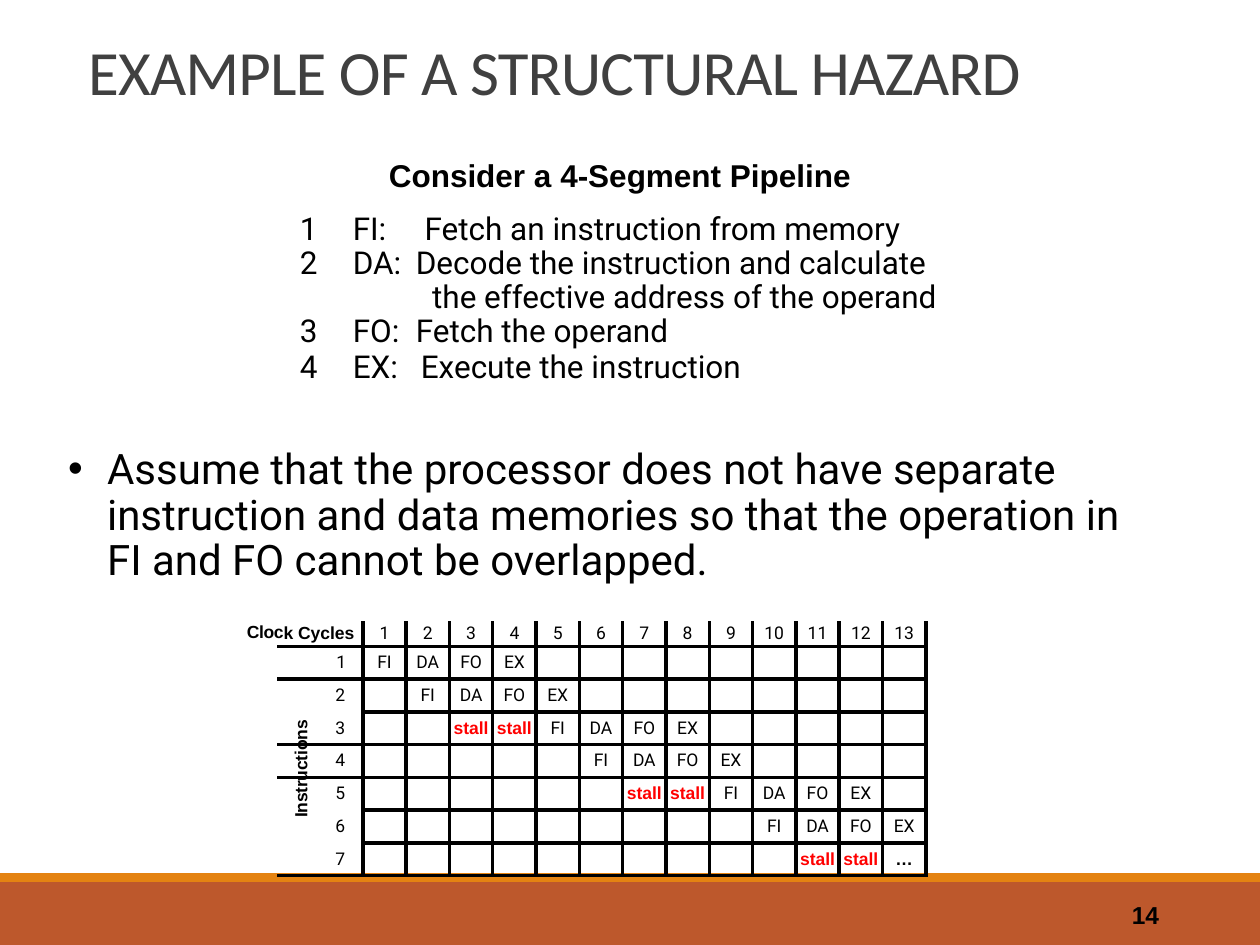
from lxml import etree
from pptx import Presentation, util as u
from pptx.dml.color import RGBColor
from pptx.enum import shapes, text
from pptx.oxml.ns import qn

ALIGN, ANCHOR = text.PP_ALIGN, text.MSO_ANCHOR
BLACK, RED = "000000", "FF0000"


def color(hexa):
    return RGBColor.from_string(hexa)


def style(name, size, bold=False, hue=BLACK):
    return {"name": name, "size": u.Pt(size), "bold": bold, "hue": hue}


HEAD = style("Arial", 18, True)
LIST = style("Roboto", 18)
BODY = style("Roboto", 24)
MARK = style("Arial", 10, True)
CELL = style("Roboto", 10)
STALL = style("Arial", 10, True, RED)


def sub(node, tag, **attrs):
    return etree.SubElement(node, qn("a:" + tag), {k: str(v) for k, v in attrs.items()})


class Deck:
    def __init__(self):
        self.prs = Presentation()
        self.prs.slide_width, self.prs.slide_height = u.Inches(10), u.Inches(7.5)
        self.slide = self.prs.slides.add_slide(self.prs.slide_layouts[5])

    def label(self, para, words, form, track=0, **rules):
        for key, val in rules.items():
            setattr(para, key, val)
        run = para.add_run()
        run.text = words
        for key, val in form.items():
            if key == "hue":
                run.font.color.rgb = color(val)
            else:
                setattr(run.font, key, val)
        if track:
            run._r.get_or_add_rPr().set("spc", str(track))

    def indent(self, para, left, first=0, right=0, number=0, dot="", tabs=()):
        props = para._p.get_or_add_pPr()
        for key, val in {"marL": left, "indent": first, "marR": right}.items():
            props.set(key, str(u.Inches(val)))
        if number:
            sub(props, "buAutoNum", type="arabicPlain", startAt=number)
        elif dot:
            sub(props, "buFont", typeface="Arial")
            sub(props, "buChar", char=dot)
        if tabs:
            stops = sub(props, "tabLst")
            for pos in tabs:
                sub(stops, "tab", pos=u.Inches(pos), algn="l")

    def frame(self, shape, place, top=0, anchor=ANCHOR.TOP):
        for key, val in zip(("left", "top", "width", "height"), place):
            setattr(shape, key, u.Inches(val))
        tf = shape.text_frame
        form = {"margin_left": 0, "margin_right": 0, "margin_bottom": 0,
                "margin_top": u.Inches(top), "word_wrap": True,
                "auto_size": text.MSO_AUTO_SIZE.NONE, "vertical_anchor": anchor}
        for key, val in form.items():
            setattr(tf, key, val)
        return tf

    def title(self, words, place, form):
        tf = self.frame(self.slide.shapes.title, place, 0.01, ANCHOR.BOTTOM)
        self.indent(tf.paragraphs[0], 0.24)
        self.label(tf.paragraphs[0], words, form, -50, alignment=ALIGN.LEFT)

    def box(self, place, **opts):
        return self.frame(self.slide.shapes.add_textbox(0, 0, 0, 0), place, **opts)

    def band(self, top, height, hue):
        bar = self.slide.shapes.add_shape(
            shapes.MSO_SHAPE.RECTANGLE, 0, u.Inches(top), u.Inches(10), u.Inches(height))
        bar.shadow.inherit = False
        bar.fill.solid()
        bar.fill.fore_color.rgb = color(hue)
        bar.line.fill.background()

    def grid(self, left, top, widths, heights):
        table = self.slide.shapes.add_table(
            len(heights), len(widths), u.Inches(left), u.Inches(top),
            u.Inches(sum(widths)), u.Inches(sum(heights))).table
        table.first_row = table.horz_banding = False
        for col, width in zip(table.columns, widths):
            col.width = u.Inches(width)
        for row, height in zip(table.rows, heights):
            row.height = u.Inches(height)
        return table

    def clear(self, cell, sides):
        """Empty the cell's fill and margins and rule the sides that are on."""
        for side in ("left", "right", "top", "bottom"):
            setattr(cell, "margin_" + side, 0)
        cell.vertical_anchor = ANCHOR.MIDDLE
        cell.fill.background()
        cell.text_frame.paragraphs[0]._p.get_or_add_endParaRPr().set("sz", "1000")
        props = cell._tc.get_or_add_tcPr()
        for i, (side, shown) in enumerate(sides.items()):
            line = etree.Element(qn("a:ln" + side), w=str(u.Pt(2.25)))
            if shown:
                sub(sub(line, "solidFill"), "srgbClr", val=BLACK)
            else:
                sub(line, "noFill")
            props.insert(i, line)


def main():
    deck = Deck()

    # Footer bands and page number
    deck.band(7, 0.5, "BD582C")
    deck.band(6.93, 0.07, "E48312")
    page = deck.box((8.12, 7.06, 1.08, 0.4), anchor=ANCHOR.MIDDLE)
    deck.label(page.paragraphs[0], "14", style("Arial", 14, True), alignment=ALIGN.RIGHT)

    deck.title("EXAMPLE OF A STRUCTURAL HAZARD", (0.46, 0.24, 8.25, 0.62),
               style("Calibri", 36, hue="404040"))

    # Pipeline segments and assumption
    body = deck.box((0.52, 1.09, 8.68, 3.59), top=0.15)
    deck.indent(body.paragraphs[0], 0.12)
    deck.label(body.paragraphs[0], "Consider a 4-Segment Pipeline", HEAD,
               alignment=ALIGN.CENTER)
    item = {"left": 2.28, "first": -0.42}
    lines = [
        ("FI:\tFetch an instruction from memory", LIST, 20.5, 9.8,
         item | {"number": 1, "tabs": (2.28, 2.85)}),
        ("DA:\tDecode the instruction and calculate", LIST, 19.4, 0,
         item | {"number": 1, "tabs": (2.28, 2.78)}),
        ("the effective address of the operand", LIST, 19.4, 0, {"left": 2.91}),
        ("FO:\tFetch the operand", LIST, 19.4, 0,
         item | {"number": 3, "tabs": (2.28, 2.78)}),
        ("EX:\tExecute the instruction", LIST, 20.5, 0,
         item | {"number": 3, "tabs": (2.28, 2.82)}),
        ("Assume that the processor does not have separate instruction and data "
         "memories so that the operation in FI and FO cannot be overlapped.",
         BODY, 25.9, 36, {"left": 0.33, "first": -0.31, "right": 0.25, "dot": "•"}),
    ]
    for words, form, pitch, before, shift in lines:
        para = body.add_paragraph()
        deck.indent(para, **shift)
        deck.label(para, words, form, line_spacing=u.Pt(pitch), space_before=u.Pt(before))

    # Axis labels
    clock = deck.box((1.95, 4.92, 0.33, 0.19), top=0.01)
    deck.indent(clock.paragraphs[0], 0.01)
    deck.label(clock.paragraphs[0], "Cloc", MARK, -20)
    axis = deck.box((2.3, 5.67, 0.18, 0.82))
    axis._txBody.bodyPr.set("vert", "vert270")
    deck.label(axis.paragraphs[0], "Instructions", MARK, -10)

    # Timing table: first cycle and steps of each instruction
    cycles = 13
    plan = [(1, "FI DA FO EX"), (2, "FI DA FO EX"), (3, "stall stall FI DA FO EX"),
            (6, "FI DA FO EX"), (7, "stall stall FI DA FO EX"), (10, "FI DA FO EX"),
            (11, "stall stall …")]
    table = deck.grid(2.2, 4.93, [0.47, 0.21] + [4.47 / cycles] * cycles,
                      [0.2] + [0.26] * len(plan))
    ruled = {1, 2, 4, 5, 8}  # row edges drawn under the instruction numbers
    for r in range(len(plan) + 1):
        for c in range(cycles + 2):
            deck.clear(table.cell(r, c), {
                "L": c > 1, "R": c > 0 or r != 1,
                "T": r in ruled or (c > 1 and r > 0),
                "B": r + 1 in ruled or c > 1})
    for first, last in ((0, 0), (2, 3), (4, 4), (5, 5), (6, 6), (7, 7)):
        table.cell(first, 0).merge(table.cell(last, 1))

    corner = table.cell(0, 0).text_frame.paragraphs[0]
    deck.indent(corner, 0.05)
    deck.label(corner, "k Cycles", MARK)
    for n in range(1, cycles + 1):
        deck.label(table.cell(0, n + 1).text_frame.paragraphs[0], str(n), CELL,
                   alignment=ALIGN.CENTER)
    for r, (start, steps) in enumerate(plan, 1):
        if r == 3:  # shares the merged cell of instruction 2
            para = table.cell(2, 0).text_frame.add_paragraph()
            para.space_before = u.Pt(7)
        else:
            para = table.cell(r, 1 if r == 1 else 0).text_frame.paragraphs[0]
        deck.indent(para, 0, right=0.14)
        deck.label(para, str(r), CELL, alignment=ALIGN.RIGHT)
        for c, step in enumerate(steps.split(), start + 1):
            form = {"stall": STALL, "…": MARK}.get(step, CELL)
            deck.label(table.cell(r, c).text_frame.paragraphs[0], step, form,
                       alignment=ALIGN.CENTER)

    deck.prs.save("out.pptx")


if __name__ == "__main__":
    main()
